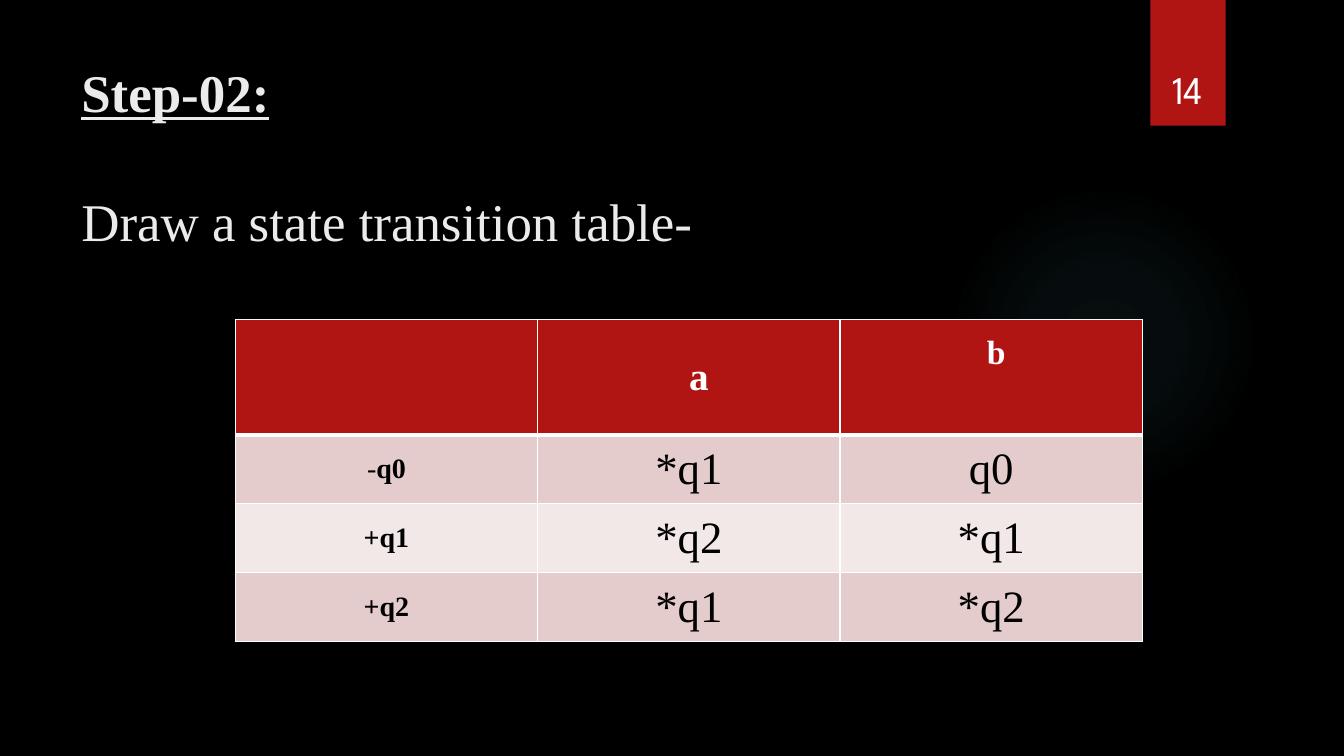
from dataclasses import dataclass

from lxml import etree
from pptx import Presentation
from pptx.dml.color import RGBColor
from pptx.enum.shapes import MSO_SHAPE
from pptx.enum.text import MSO_ANCHOR, PP_ALIGN
from pptx.oxml import parse_xml
from pptx.oxml.ns import qn
from pptx.util import Cm, Pt

RECTANGLE, OVAL = MSO_SHAPE.RECTANGLE, MSO_SHAPE.OVAL
LEFT, CENTER = PP_ALIGN.LEFT, PP_ALIGN.CENTER
TOP, MIDDLE, BOTTOM = MSO_ANCHOR.TOP, MSO_ANCHOR.MIDDLE, MSO_ANCHOR.BOTTOM
DRAWING = "http://schemas.openxmlformats.org/drawingml/2006/main"


@dataclass(frozen=True)
class Theme:
    """Colours, fonts and type sizes of the slide."""
    background: str = "000000"
    accent: str = "B01513"
    glow: str = "50B9C1"
    title: str = "EBEBEB"
    white: str = "FFFFFF"
    ink: str = "000000"
    bands: tuple = ("E4CCCC", "F2E8E7")
    serif: str = "Times New Roman"
    number_font: str = "League Spartan"
    title_size: float = 37.8
    title_gap: float = 46.5
    entry_size: int = 32
    heading_size: int = 28
    small_heading_size: int = 24
    state_size: int = 20


THEME = Theme()


def write_run(paragraph, text, *, size, color, font=THEME.serif, bold=False,
              underline=False, align=LEFT):
    """Add a formatted run to a paragraph."""
    paragraph.alignment = align
    run = paragraph.add_run()
    run.text = text
    run.font.name = font
    run.font.size = Pt(size)
    run.font.color.rgb = RGBColor.from_string(color)
    run.font.bold = bold
    run.font.underline = underline


def add_text_box(slide, left, top, width, height, anchor=TOP):
    """Add a wrapping text box and return its text frame."""
    frame = slide.shapes.add_textbox(Cm(left), Cm(top), Cm(width), Cm(height)).text_frame
    frame.word_wrap = True
    frame.vertical_anchor = anchor
    return frame


def add_plain_shape(slide, kind, left, top, width, height, color):
    """Add a filled shape with neither outline nor shadow."""
    shape = slide.shapes.add_shape(kind, Cm(left), Cm(top), Cm(width), Cm(height))
    shape.shadow.inherit = False
    shape.fill.solid()
    shape.fill.fore_color.rgb = RGBColor.from_string(color)
    shape.line.fill.background()
    return shape


def add_glow(slide):
    """Add the faint circle that fades towards its rim."""
    shape = add_plain_shape(slide, OVAL, 23.9, 4.65, 7.82, 7.82, THEME.glow)
    stops = "".join(
        f'<a:gs pos="{position * 1000}"><a:srgbClr val="{THEME.glow}">'
        f'<a:alpha val="{alpha * 1000}"/></a:srgbClr></a:gs>'
        for position, alpha in ((0, 7), (36, 6), (69, 0), (100, 0)))
    gradient = parse_xml(
        f'<a:gradFill xmlns:a="{DRAWING}"><a:gsLst>{stops}</a:gsLst><a:path path="circle">'
        '<a:fillToRect l="50000" t="50000" r="50000" b="50000"/></a:path></a:gradFill>')
    properties = shape.element.spPr
    properties.replace(properties.find(qn("a:solidFill")), gradient)


def add_page_number(slide, number):
    """Add the ribbon with the page number."""
    add_plain_shape(slide, RECTANGLE, 28.99, 0, 1.9, 3.17, THEME.accent)
    frame = add_text_box(slide, 28.76, 0.81, 2.34, 2.14, BOTTOM)
    write_run(frame.paragraphs[0], number, size=THEME.heading_size, color=THEME.white,
              font=THEME.number_font, align=CENTER)


def add_title(slide, step, task):
    """Add the underlined step and the task below it."""
    frame = add_text_box(slide, 1.8, 1.27, 26.14, 3.89)
    frame.margin_top = Cm(0.24)
    write_run(frame.paragraphs[0], step, size=THEME.title_size, color=THEME.title,
              bold=True, underline=True)
    paragraph = frame.add_paragraph()
    paragraph.space_before = Pt(THEME.title_gap)
    write_run(paragraph, task, size=THEME.title_size, color=THEME.title)


def style_cell(cell, color, top_width, bottom_width):
    """Give a cell its borders, fill, margins and anchor."""
    properties = cell._tc.get_or_add_tcPr()
    for side, width in (("L", 1), ("R", 1), ("T", top_width), ("B", bottom_width)):
        line = etree.SubElement(properties, qn(f"a:ln{side}"), w=str(Pt(width)))
        fill = etree.SubElement(line, qn("a:solidFill"))
        etree.SubElement(fill, qn("a:srgbClr"), val=THEME.white)
    cell.fill.solid()
    cell.fill.fore_color.rgb = RGBColor.from_string(color)
    cell.margin_left = cell.margin_right = Cm(0.25)
    cell.margin_top = cell.margin_bottom = Cm(0.19)
    cell.vertical_anchor = MIDDLE


def add_transition_table(slide, symbols, transitions):
    """Add the state transition table with a header and banded rows."""
    header_height, row_height, column_width = 2.9, 1.68, 7.62
    rows, columns = len(transitions) + 1, len(symbols) + 1
    table = slide.shapes.add_table(
        rows, columns, Cm(5.93), Cm(8.06), Cm(columns * column_width),
        Cm(header_height + (rows - 1) * row_height)).table
    for column in table.columns:
        column.width = Cm(column_width)
    for index, row in enumerate(table.rows):
        row.height = Cm(row_height if index else header_height)
        color = THEME.bands[(index - 1) % 2] if index else THEME.accent
        for cell in row.cells:
            style_cell(cell, color, 3 if index == 1 else 1, 1 if index else 3)

    for column, (symbol, size, indent) in enumerate(symbols, start=1):
        cell = table.cell(0, column)
        cell.margin_left = Cm(indent)
        write_run(cell.text_frame.paragraphs[0], symbol, size=size, color=THEME.white,
                  bold=True, align=CENTER)
    last_heading = table.cell(0, columns - 1)
    last_heading.vertical_anchor = TOP
    last_heading.margin_top = Cm(0.36)

    for index, (sign, state, *targets) in enumerate(transitions, start=1):
        paragraph = table.cell(index, 0).text_frame.paragraphs[0]
        for text, bold in ((sign, sign == "+"), (state, True)):
            write_run(paragraph, text, size=THEME.state_size, color=THEME.ink,
                      bold=bold, align=CENTER)
        for column, target in enumerate(targets, start=1):
            write_run(table.cell(index, column).text_frame.paragraphs[0], target,
                      size=THEME.entry_size, color=THEME.ink, align=CENTER)


def main():
    """Build the slide and save it."""
    presentation = Presentation()
    presentation.slide_width, presentation.slide_height = Cm(33.87), Cm(19.05)
    slide = presentation.slides.add_slide(presentation.slide_layouts[6])
    slide.background.fill.solid()
    slide.background.fill.fore_color.rgb = RGBColor.from_string(THEME.background)
    add_glow(slide)
    add_title(slide, "Step-02:", "Draw a state transition table-")
    add_transition_table(
        slide,
        (("a", THEME.heading_size, 0.75), ("b", THEME.small_heading_size, 0.5)),
        (("-", "q0", "*q1", "q0"), ("+", "q1", "*q2", "*q1"), ("+", "q2", "*q1", "*q2")))
    add_page_number(slide, "14")
    presentation.save("out.pptx")


if __name__ == "__main__":
    main()
